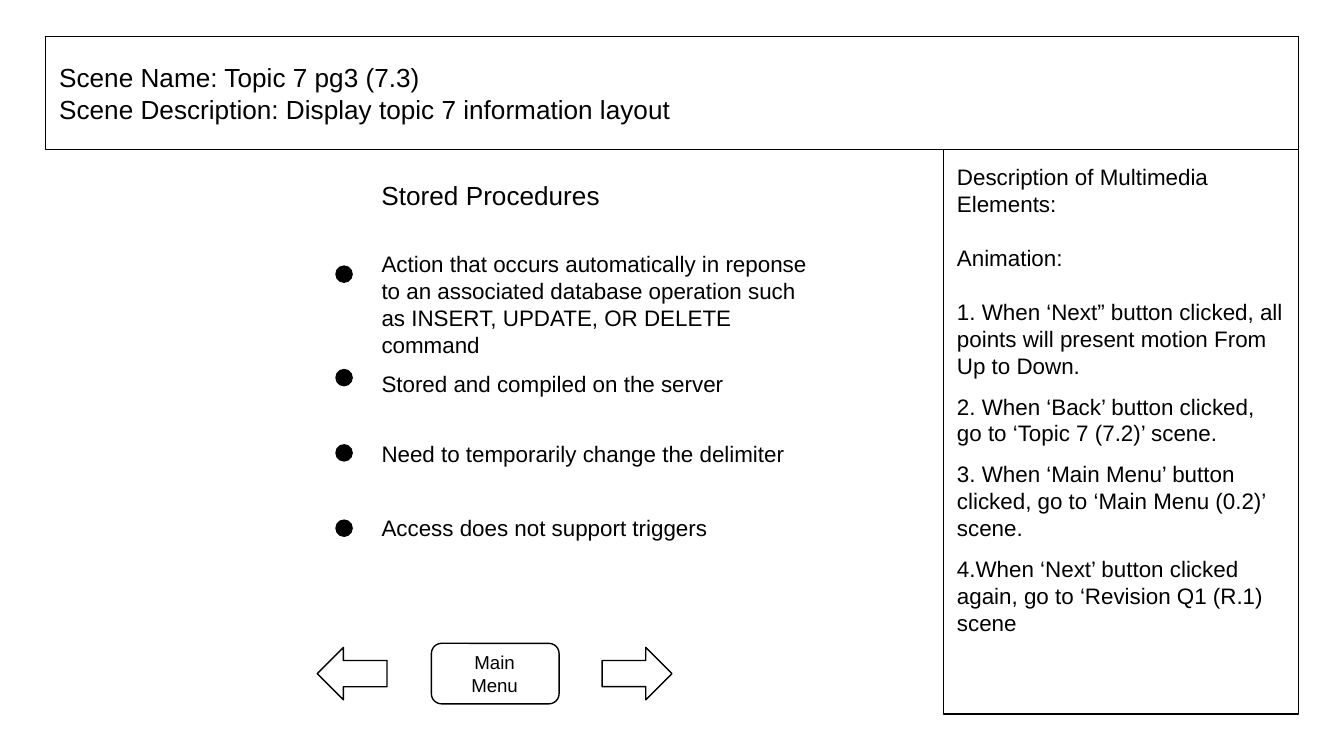
import pptx
import pptx.dml.color
import pptx.enum.shapes
import pptx.enum.text
import pptx.oxml
import pptx.util

SLIDE_WIDTH = pptx.util.Inches(10)
SLIDE_HEIGHT = SLIDE_WIDTH * 9 // 16
COLUMN = SLIDE_WIDTH / 100
INK = "000000"
SHAPES = pptx.enum.shapes.MSO_SHAPE
ANCHORS = pptx.enum.text.MSO_ANCHOR
ALIGN = pptx.enum.text.PP_ALIGN

SCENE = [
    "Scene Name: Topic 7 pg3 (7.3)",
    "Scene Description: Display topic 7 information layout",
]
NOTES = [
    ("Description of Multimedia Elements:", 0),
    ("Animation:", 14.5),
    ("1. When ‘Next” button clicked, all points will present motion From Up to Down.", 14.5),
    ("2. When ‘Back’ button clicked, go to ‘Topic 7 (7.2)’ scene.", 7.5),
    ("3. When ‘Main Menu’ button clicked, go to ‘Main Menu (0.2)’ scene.", 7.5),
    ("4.When ‘Next’ button clicked again, go to ‘Revision Q1 (R.1) scene", 7.5),
]
POINTS = [
    ("Action that occurs automatically in reponse to an associated database "
     "operation such as INSERT, UPDATE, OR DELETE command", 6.4, 7.8, 7.5),
    ("Stored and compiled on the server", 14.5, 3.5, 15.2),
    ("Need to temporarily change the delimiter", 19.7, 3.5, 20.8),
    ("Access does not support triggers", 25.2, 3.5, 26.4),
]


def color(value):
    """Turn a hex string into a colour."""
    return pptx.dml.color.RGBColor.from_string(value)


def within(box, left, top, width, height):
    """Return a box in slide columns from offsets inside another box."""
    return box[0] + left, box[1] + top, width, height


def lengths(box):
    """Convert a box in slide columns to slide lengths."""
    return [round(side * COLUMN) for side in box]


def outline(shape):
    """Draw the thin wireframe border."""
    shape.line.color.rgb = color(INK)
    shape.line.width = pptx.util.Pt(0.75)


def write(frame, lines, size, anchor=ANCHORS.MIDDLE, align=ALIGN.LEFT):
    """Fill a text frame with (text, space before) lines."""
    frame.word_wrap = True
    frame.auto_size = pptx.enum.text.MSO_AUTO_SIZE.NONE
    frame.vertical_anchor = anchor
    frame.margin_left = frame.margin_right = round(COLUMN)
    frame.margin_top = frame.margin_bottom = round(COLUMN)
    for index, (text, gap) in enumerate(lines):
        paragraph = frame.add_paragraph() if index else frame.paragraphs[0]
        paragraph.text = text
        paragraph.alignment = align
        paragraph.space_before = pptx.util.Pt(gap)
        paragraph.font.name = "Arial"
        paragraph.font.size = pptx.util.Pt(size)
        paragraph.font.color.rgb = color(INK)


def add_label(slide, box, text, size, align=ALIGN.LEFT):
    """Add a one-paragraph text box."""
    label = slide.shapes.add_textbox(*lengths(box))
    write(label.text_frame, [(text, 0)], size, align=align)


def add_figure(slide, kind, box, fill=None):
    """Add an outlined preset shape, filled if a colour is given."""
    figure = slide.shapes.add_shape(kind, *lengths(box))
    figure.shadow.inherit = False
    outline(figure)
    if fill:
        figure.fill.solid()
        figure.fill.fore_color.rgb = color(fill)
    else:
        figure.fill.background()
    return figure


def fill_panel(panel, box, lines, size, anchor):
    """Place, border and fill a placeholder."""
    panel.left, panel.top, panel.width, panel.height = lengths(box)
    outline(panel)
    write(panel.text_frame, lines, size, anchor)


def fill_header(slide, box):
    """Put the scene name and description in the title."""
    fill_panel(slide.shapes.title, box, [(line, 0) for line in SCENE], 14, ANCHORS.MIDDLE)


def fill_notes(slide, box):
    """Put the multimedia notes in the body, without bullets."""
    notes = slide.placeholders[1]
    fill_panel(notes, box, NOTES, 12, ANCHORS.TOP)
    for paragraph in notes.text_frame.paragraphs:
        properties = paragraph._p.get_or_add_pPr()
        properties.set("marL", "0")
        properties.set("indent", "0")
        bullet = pptx.oxml.parse_xml(
            '<a:buNone xmlns:a="http://schemas.openxmlformats.org/drawingml/2006/main"/>')
        properties.insert_element_before(bullet, "a:defRPr")


def add_topic(slide, box):
    """Add the topic heading and its dotted points."""
    add_label(slide, within(box, 2.4, 0, 19, 4.5), "Stored Procedures", 14)
    for text, top, height, dot_top in POINTS:
        add_figure(slide, SHAPES.OVAL, within(box, 0, dot_top, 1.2, 1.2), INK)
        add_label(slide, within(box, 2.4, top, box[2] - 2.4, height), text, 12)


def add_navigation(slide, box):
    """Add the back, main menu and next buttons."""
    back = add_figure(slide, SHAPES.RIGHT_ARROW, within(box, 0, 0.3, 5.2, 3.9))
    back.rotation = 180
    add_figure(slide, SHAPES.RIGHT_ARROW, within(box, box[2] - 5.2, 0.3, 5.2, 3.9))
    add_figure(slide, SHAPES.ROUNDED_RECTANGLE, within(box, 8.5, 0, 9.5, box[3]))
    add_label(slide, within(box, 9.4, 0.9, 7.6, 2.7), "Main Menu", 10, ALIGN.CENTER)


def main():
    """Build the storyboard slide."""
    deck = pptx.Presentation()
    deck.slide_width, deck.slide_height = SLIDE_WIDTH, SLIDE_HEIGHT
    slide = deck.slides.add_slide(deck.slide_layouts[1])
    fill_header(slide, (3.4, 2.72, 93.2, 8.4))
    fill_notes(slide, (70.2, 11.14, 26.4, 42))
    add_topic(slide, (25, 12.3, 37.3, 28.7))
    add_navigation(slide, (23.6, 47.87, 26.4, 4.5))
    deck.save("out.pptx")


if __name__ == "__main__":
    main()
